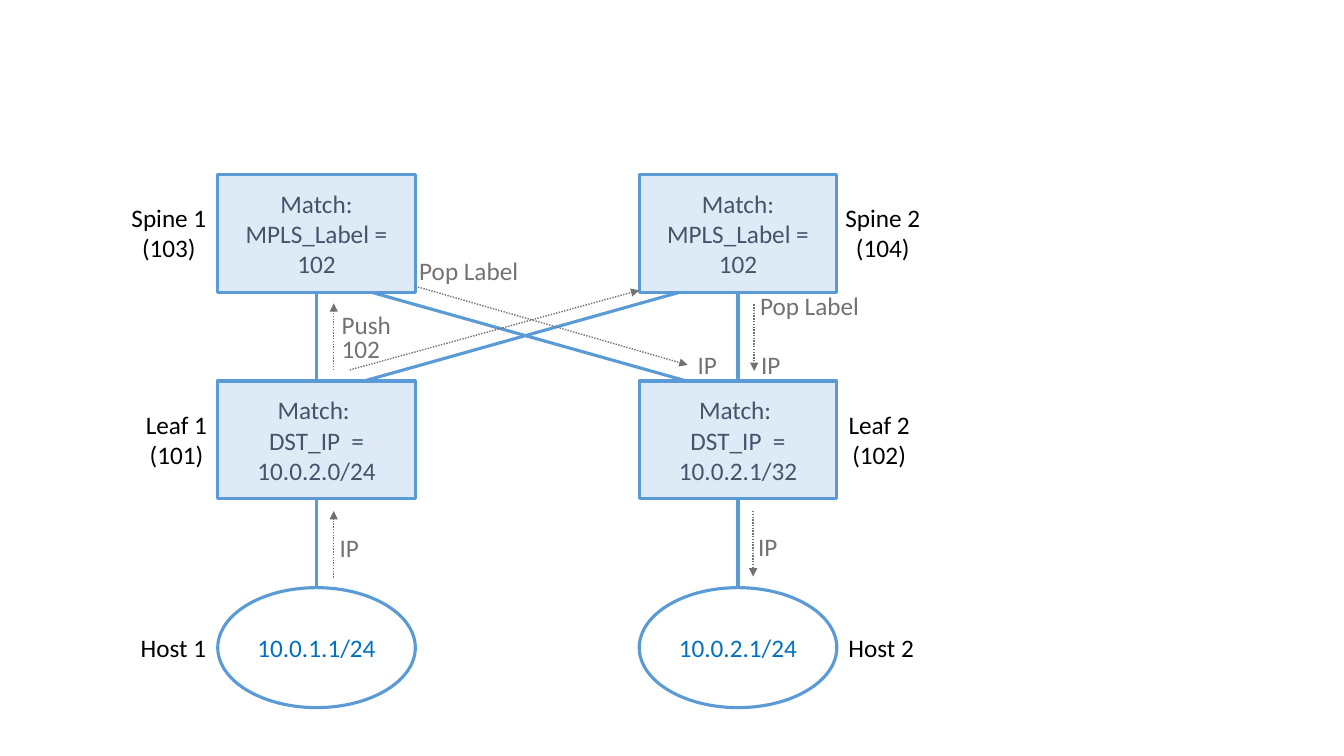
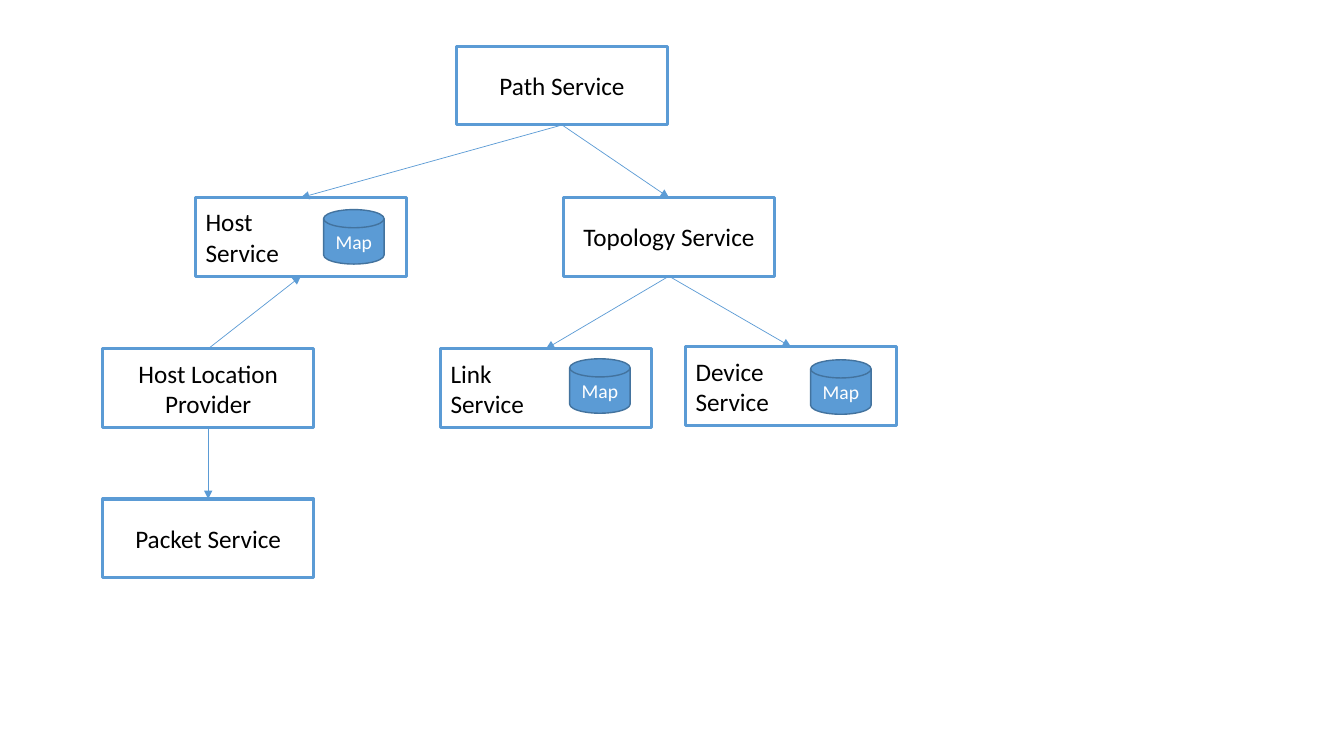
"""Build two diagrams: MPLS forwarding in a leaf-spine fabric, and path service dependencies."""
from pptx import Presentation
from pptx.dml.color import RGBColor
from pptx.enum.dml import MSO_LINE
from pptx.enum.shapes import MSO_CONNECTOR, MSO_SHAPE
from pptx.enum.text import MSO_ANCHOR, MSO_AUTO_SIZE, PP_ALIGN
from pptx.oxml.ns import qn
from pptx.util import Inches, Pt
from lxml import etree

COLORS = {"blue": "5B9BD5", "pale": "DEEBF7", "white": "FFFFFF", "black": "000000",
          "slate": "44546A", "host": "0070C0", "gray": "767171", "edge": "43739E"}
RGB = {name: RGBColor.from_string(value) for name, value in COLORS.items()}
FONT = "Calibri"


def add_text(s, kind, x, y, w, h, text, color, fill="white", edge="blue", weight=2.25,
             size=18, align=PP_ALIGN.CENTER, spacing=None):
    """Add a preset shape with text, or a plain label when kind is None."""
    box = [Inches(v) for v in (x, y, w, h)]
    if kind is None:
        sp = s.shapes.add_textbox(*box)
        sp.text_frame.auto_size = MSO_AUTO_SIZE.SHAPE_TO_FIT_TEXT
    else:
        sp = s.shapes.add_shape(kind, *box)
        sp.shadow.inherit = False
        sp.fill.solid()
        sp.fill.fore_color.rgb = RGB[fill]
        sp.line.color.rgb = RGB[edge]
        sp.line.width = Pt(weight)
        sp.text_frame.vertical_anchor = MSO_ANCHOR.MIDDLE
    tf = sp.text_frame
    tf.word_wrap = kind is not None
    tf.text = text
    for p in tf.paragraphs:
        p.alignment = align
        if spacing:
            p.line_spacing = spacing
        for r in p.runs:
            r.font.name = FONT
            r.font.size = Pt(size)
            r.font.color.rgb = RGB[color]
    return sp


def add_line(s, start, end, color="blue", weight=2.25, arrow=False, dotted=False):
    """Connect two points, or the bottom or top sites of two (shape, site) pairs."""
    glued = not isinstance(start[0], (int, float))
    points = (0, 0, 0, 0) if glued else [Inches(v) for v in (*start, *end)]
    cn = s.shapes.add_connector(MSO_CONNECTOR.STRAIGHT, *points)
    if glued:
        cn.begin_connect(*start)
        cn.end_connect(*end)
    cn.line.color.rgb = RGB[color]
    cn.line.width = Pt(weight)
    if dotted:
        cn.line.dash_style = MSO_LINE.ROUND_DOT
    if arrow:
        etree.SubElement(cn.line._get_or_add_ln(), qn("a:tailEnd"), type="triangle")
    etree.SubElement(cn._element.spPr, qn("a:effectLst"))


prs = Presentation()
prs.slide_width = Inches(13.33)
prs.slide_height = Inches(7.5)
blank = prs.slide_layouts[6]
TOP, BOTTOM = 0, 2

s = prs.slides.add_slide(blank)
add_line(s, (6.81, 2.88), (3.61, 3.78))
add_line(s, (6.81, 3.78), (3.65, 2.89))

MPLS_MATCH = "Match: MPLS_Label = 102"
columns = [
    (2.16, MPLS_MATCH, "Match: \nDST_IP  = 10.0.2.0/24", "10.0.1.1/24"),
    (6.34, MPLS_MATCH, "Match: \nDST_IP  = 10.0.2.1/32", "10.0.2.1/24"),
]
for x, spine_text, leaf_text, host_text in columns:
    spine = add_text(s, MSO_SHAPE.RECTANGLE, x, 1.73, 1.96, 1.17, spine_text, "slate", "pale")
    leaf = add_text(s, MSO_SHAPE.RECTANGLE, x, 3.78, 1.96, 1.17, leaf_text, "slate", "pale")
    host = add_text(s, MSO_SHAPE.OVAL, x, 5.83, 1.96, 1.19, host_text, "host")
    add_line(s, (spine, BOTTOM), (leaf, TOP))
    add_line(s, (leaf, BOTTOM), (host, TOP))

node_names = [
    (1.2, 1.96, 0.95, 0.71, "Spine 1\n(103)"),
    (8.28, 1.96, 0.95, 0.71, "Spine 2\n(104)"),
    (1.34, 4.01, 0.82, 0.71, "Leaf 1\n(101)"),
    (8.31, 4.01, 0.82, 0.71, "Leaf 2\n(102)"),
    (1.29, 6.22, 0.86, 0.4, "Host 1"),
    (8.31, 6.22, 0.86, 0.4, "Host 2"),
]
for *box, name in node_names:
    add_text(s, None, *box, name, "black")

packet_flows = [
    ((3.31, 5.73), (3.31, 5.07)),
    ((3.31, 3.67), (3.31, 3.01)),
    ((3.47, 3.67), (6.34, 2.88)),
    ((4.12, 2.84), (6.82, 3.62)),
    ((7.48, 3.02), (7.48, 3.68)),
    ((7.47, 5.07), (7.47, 5.72)),
]
for start, end in packet_flows:
    add_line(s, start, end, "gray", 1, arrow=True, dotted=True)

for x, y in [(3.27, 5.23), (7.42, 5.22), (6.82, 3.42), (7.45, 3.42)]:
    add_text(s, None, x, y, 0.39, 0.4, "IP", "gray", align=PP_ALIGN.LEFT)

label_actions = [
    (3.29, 3.08, 0.7, 0.59, "Push\n102"),
    (4.06, 2.54, 1.2, 0.34, "Pop Label"),
    (7.44, 2.89, 1.2, 0.34, "Pop Label"),
]
for *box, action in label_actions:
    add_text(s, None, *box, action, "gray", align=PP_ALIGN.LEFT, spacing=0.8)

s = prs.slides.add_slide(blank)
services = {
    "path": (4.53, 0.46, "Path Service", None),
    "host": (1.94, 1.96, "Host\nService", (3.21, 2.08)),
    "topology": (5.59, 1.96, "Topology Service", None),
    "provider": (1.02, 3.46, "Host Location\nProvider", None),
    "link": (4.37, 3.46, "Link\nService", (5.65, 3.56)),
    "device": (6.8, 3.44, "Device\nService", (8.04, 3.57)),
    "packet": (1.02, 4.95, "Packet Service", None),
}
boxes = {}
for key, (x, y, name, map_at) in services.items():
    align = PP_ALIGN.LEFT if map_at else PP_ALIGN.CENTER
    boxes[key] = add_text(s, MSO_SHAPE.RECTANGLE, x, y, 2.09, 0.78, name, "black", align=align)
    if map_at:
        add_text(s, MSO_SHAPE.FLOWCHART_MAGNETIC_DISK, *map_at, 0.6, 0.54, "Map", "white",
                 fill="blue", edge="edge", weight=1, size=14)

dependencies = [
    ("path", BOTTOM, "host", TOP),
    ("path", BOTTOM, "topology", TOP),
    ("topology", BOTTOM, "link", TOP),
    ("topology", BOTTOM, "device", TOP),
    ("provider", TOP, "host", BOTTOM),
    ("provider", BOTTOM, "packet", TOP),
]
for source, source_site, target, target_site in dependencies:
    add_line(s, (boxes[source], source_site), (boxes[target], target_site), weight=0.5, arrow=True)

prs.save("out.pptx")
